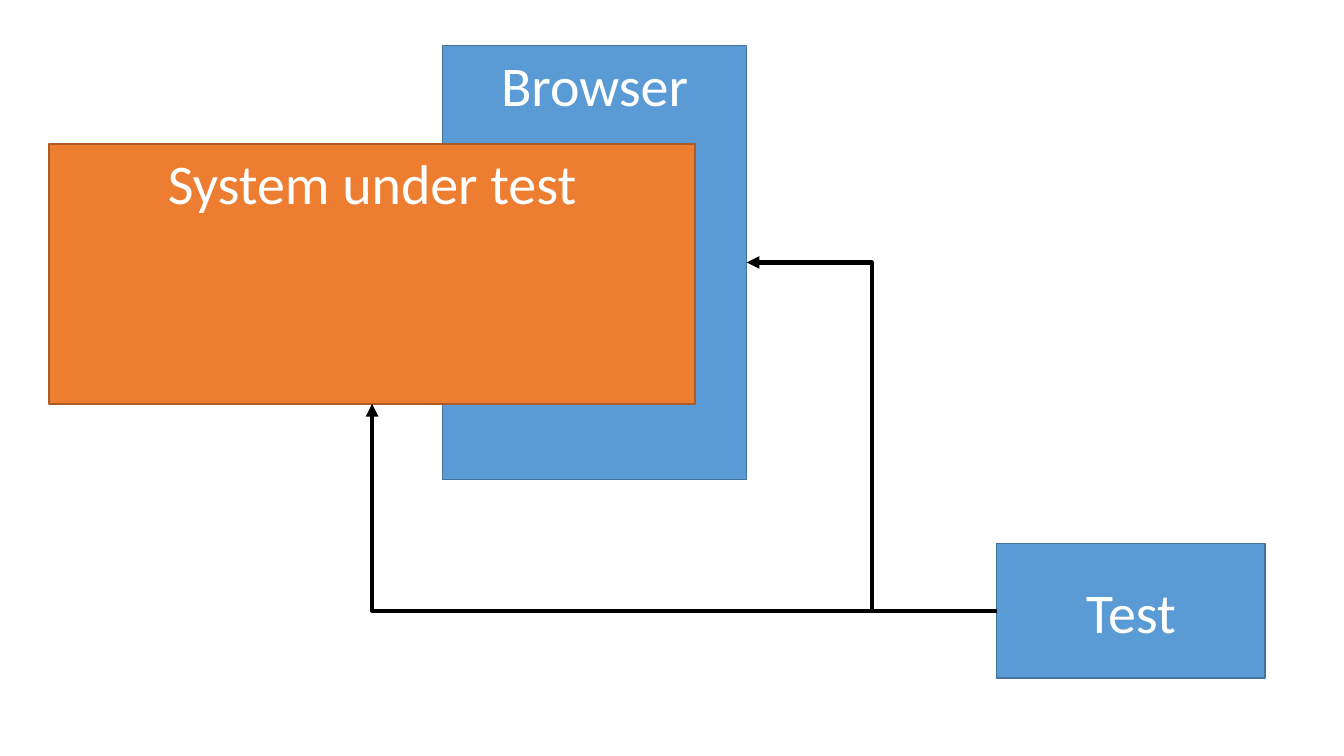
from lxml import etree
from pptx import Presentation
from pptx import util as u
from pptx.dml.color import RGBColor
from pptx.enum import shapes, text
from pptx.oxml.ns import qn

BLUE = RGBColor(0x5B, 0x9B, 0xD5)
BLUE_EDGE = RGBColor(0x43, 0x73, 0x9E)
ORANGE = RGBColor(0xED, 0x7D, 0x31)
ORANGE_EDGE = RGBColor(0xAF, 0x5C, 0x24)
BLACK = RGBColor(0, 0, 0)
WHITE = RGBColor(0xFF, 0xFF, 0xFF)
TOP, LEFT, BOTTOM, RIGHT = range(4)


def add_block(page, label, left, top, width, height, fill, edge, anchor):
    box = page.shapes.add_shape(
        shapes.MSO_SHAPE.RECTANGLE, u.Cm(left), u.Cm(top), u.Cm(width), u.Cm(height))
    box.shadow.inherit = False
    box.fill.solid()
    box.fill.fore_color.rgb = fill
    box.line.color.rgb = edge
    box.line.width = u.Pt(1)
    frame = box.text_frame
    frame.word_wrap = True
    frame.vertical_anchor = anchor
    para = frame.paragraphs[0]
    para.alignment = text.PP_ALIGN.CENTER
    span = para.add_run()
    span.text = label
    span.font.name = "Calibri"
    span.font.size = u.Pt(40)
    span.font.color.rgb = WHITE
    return box


def add_arrow(page, source, source_side, target, target_side, route):
    arrow = page.shapes.add_connector(shapes.MSO_CONNECTOR.ELBOW, 0, 0, 0, 0)
    arrow.begin_connect(source, source_side)
    arrow.end_connect(target, target_side)
    arrow.line.color.rgb = BLACK
    arrow.line.width = u.Pt(3)
    properties = arrow._element.spPr
    properties.find(qn("a:prstGeom")).set("prst", route)
    etree.SubElement(properties.find(qn("a:ln")), qn("a:tailEnd"), type="triangle")
    etree.SubElement(properties, qn("a:effectLst"))


def add_test_diagram(page, left, top):
    middle, upper = text.MSO_ANCHOR.MIDDLE, text.MSO_ANCHOR.TOP
    test = add_block(page, "Test", left + 23.88, top + 12.55, 6.76, 3.4,
                     BLUE, BLUE_EDGE, middle)
    browser = add_block(page, "Browser", left + 9.91, top, 7.67, 10.95,
                        BLUE, BLUE_EDGE, upper)
    system = add_block(page, "System under test", left, top + 2.49, 16.28, 6.55,
                       ORANGE, ORANGE_EDGE, upper)
    add_arrow(page, test, LEFT, browser, RIGHT, "bentConnector3")
    add_arrow(page, test, LEFT, system, BOTTOM, "bentConnector2")


def main():
    deck = Presentation()
    deck.slide_width = u.Cm(33.87)
    deck.slide_height = u.Cm(19.05)
    page = deck.slides.add_slide(deck.slide_layouts[6])
    add_test_diagram(page, 1.24, 1.14)
    deck.save("out.pptx")


if __name__ == "__main__":
    main()
